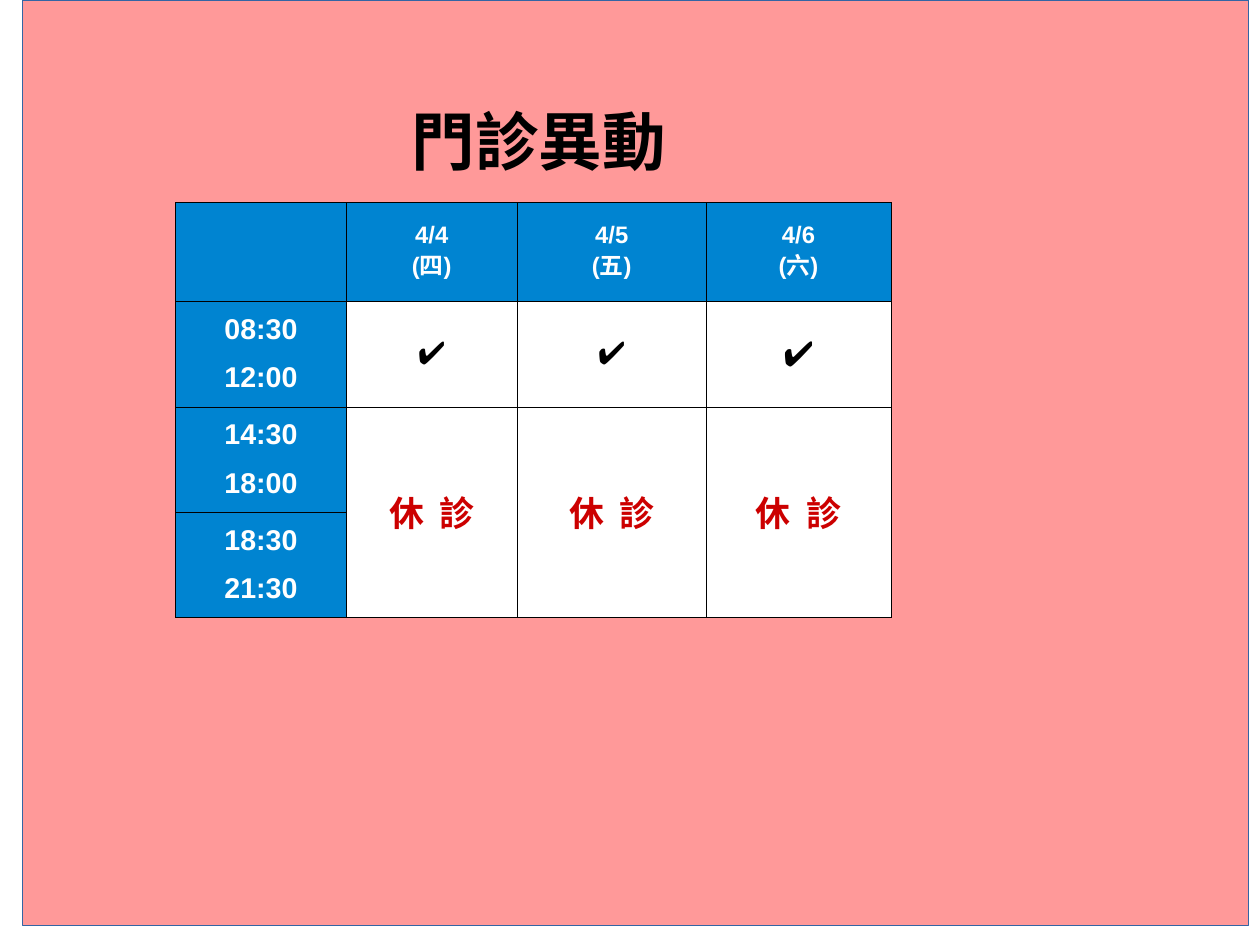
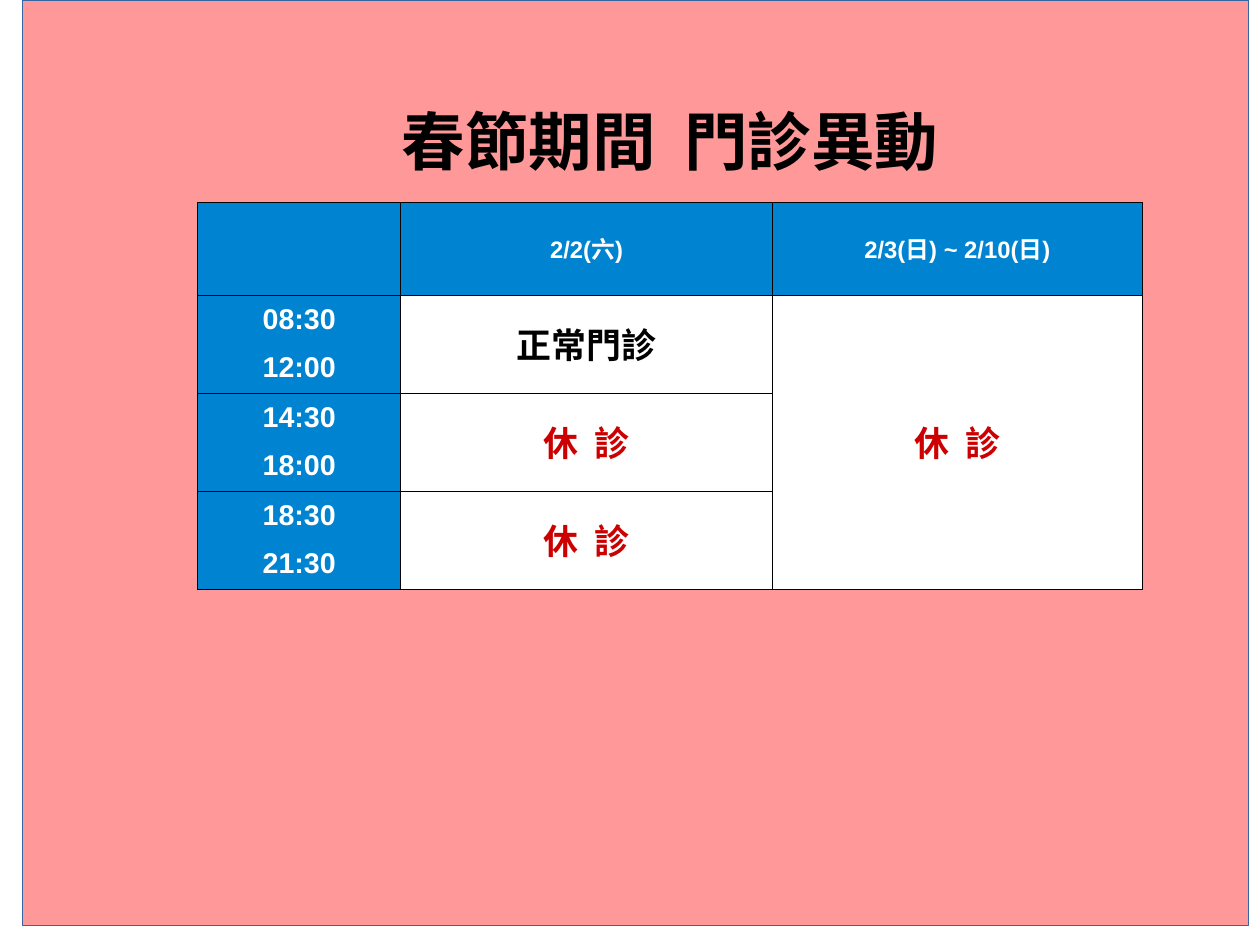
import pptx
import pptx.dml.color
import pptx.enum.shapes
import pptx.enum.text
import pptx.oxml
import pptx.oxml.ns
import pptx.util

Cm = pptx.util.Cm
Pt = pptx.util.Pt
RGBColor = pptx.dml.color.RGBColor
MIDDLE = pptx.enum.text.MSO_ANCHOR.MIDDLE

PINK = RGBColor(0xFF, 0x99, 0x99)
EDGE = RGBColor(0x34, 0x65, 0xA4)
BLUE = RGBColor(0x00, 0x84, 0xD1)
RED = RGBColor(0xCC, 0x00, 0x00)
BLACK = RGBColor(0x00, 0x00, 0x00)
WHITE = RGBColor(0xFF, 0xFF, 0xFF)

HEAD = dict(size=15, font="Arial", color=WHITE, spacing=0.94)
TIME = dict(size=18, font="Arial", color=WHITE, spacing=0.94, gap=5.7)
TICK = dict(size=20, font="Arial", bold=False)
BOLD_TICK = dict(size=22)
OPEN = dict(size=22)
CLOSED = dict(size=22, color=RED)

TIMES = ["08:30\n12:00", "14:30\n18:00", "18:30\n21:30"]
REST = ("休  診", CLOSED)


def write(tf, text, size=22, font="Calibri", color=BLACK, bold=True,
          spacing=0.93, gap=0):
    for i, line in enumerate(text.split("\n")):
        p = tf.paragraphs[0] if i == 0 else tf.add_paragraph()
        p.alignment = pptx.enum.text.PP_ALIGN.CENTER
        p.line_spacing = spacing
        p.space_before = p.space_after = Pt(gap)
        r = p.add_run()
        r.text = line
        r.font.size = Pt(size)
        r.font.name = font
        r.font.bold = bold
        r.font.color.rgb = color


def add_backdrop(s, left, top, width, height):
    sp = s.shapes.add_shape(pptx.enum.shapes.MSO_SHAPE.RECTANGLE,
                            left, top, width, height)
    sp.shadow.inherit = False
    sp.fill.solid()
    sp.fill.fore_color.rgb = PINK
    sp.line.color.rgb = EDGE
    sp.line.width = Pt(0)
    s.shapes.element.insert(2, sp.element)


def set_title(s, text, left, top, width, height):
    sp = s.shapes.title
    sp.left, sp.top, sp.width, sp.height = left, top, width, height
    tf = sp.text_frame
    tf.auto_size = pptx.enum.text.MSO_AUTO_SIZE.NONE
    tf.word_wrap = True
    tf.vertical_anchor = MIDDLE
    tf.margin_left = tf.margin_right = tf.margin_bottom = 0
    tf.margin_top = Cm(0.1)
    write(tf, text, size=40)


def style_cell(cell, fill):
    cell.fill.solid()
    cell.fill.fore_color.rgb = fill
    cell.vertical_anchor = MIDDLE
    cell.margin_left = cell.margin_right = Cm(0.25)
    cell.margin_top = cell.margin_bottom = Cm(0.13)
    tcPr = cell._tc.get_or_add_tcPr()
    for i, side in enumerate("LRTB"):
        tcPr.insert(i, pptx.oxml.parse_xml(
            f'<a:ln{side} {pptx.oxml.ns.nsdecls("a")} w="{Pt(0.68)}">'
            f'<a:solidFill><a:srgbClr val="{BLACK}"/></a:solidFill>'
            f'</a:ln{side}>'))


def add_schedule(s, left, top, widths, head_height, row_height, days):
    heights = [head_height] + [row_height] * len(TIMES)
    tbl = s.shapes.add_table(len(heights), len(widths), left, top,
                             sum(widths), sum(heights)).table
    tbl.horz_banding = False
    for col, width in zip(tbl.columns, widths):
        col.width = width
    for row, height in zip(tbl.rows, heights):
        row.height = height
    columns = [[None] + [(t, TIME) for t in TIMES]]
    columns += [[(day, HEAD)] + sessions for day, sessions in days]
    for c, entries in enumerate(columns):
        for r, entry in enumerate(entries):
            cell = tbl.cell(r, c)
            style_cell(cell, BLUE if r == 0 or c == 0 else WHITE)
            if entry:
                text, style = entry
                write(cell.text_frame, text, **style)
        if entries[-1] is None:
            first = max(r for r, entry in enumerate(entries) if entry)
            tbl.cell(first, c).merge(tbl.cell(len(entries) - 1, c))


def add_notice(prs, title, title_width, left, widths, head_height,
               row_height, days):
    s = prs.slides.add_slide(prs.slide_layouts[5])
    add_backdrop(s, Cm(0.51), 0, Cm(27.23), Cm(20.57))
    set_title(s, title, Cm(4.39), Cm(1.9), Cm(title_width), Cm(2.51))
    add_schedule(s, Cm(left), Cm(4.5), [Cm(w) for w in widths],
                 Cm(head_height), Cm(row_height), days)


def main():
    prs = pptx.Presentation()
    prs.slide_width, prs.slide_height = Cm(28), Cm(21)
    add_notice(prs, "門診異動", 15.16, 3.91, [3.78, 3.81, 4.19, 4.11],
               2.21, 2.34, [
                   ("4/4\n(四)", [("✔", dict(TICK, gap=5.7)), REST, None]),
                   ("4/5\n(五)", [("✔", TICK), REST, None]),
                   ("4/6\n(六)", [("✔", BOLD_TICK), REST, None]),
               ])
    add_notice(prs, "春節期間  門診異動", 21, 4.39, [4.52, 8.25, 8.23],
               2.06, 2.18, [
                   ("2/2(六)", [("正常門診", dict(OPEN, gap=5.7)), REST, REST]),
                   ("2/3(日) ~ 2/10(日)", [REST, None, None]),
               ])
    prs.save("out.pptx")


if __name__ == "__main__":
    main()
